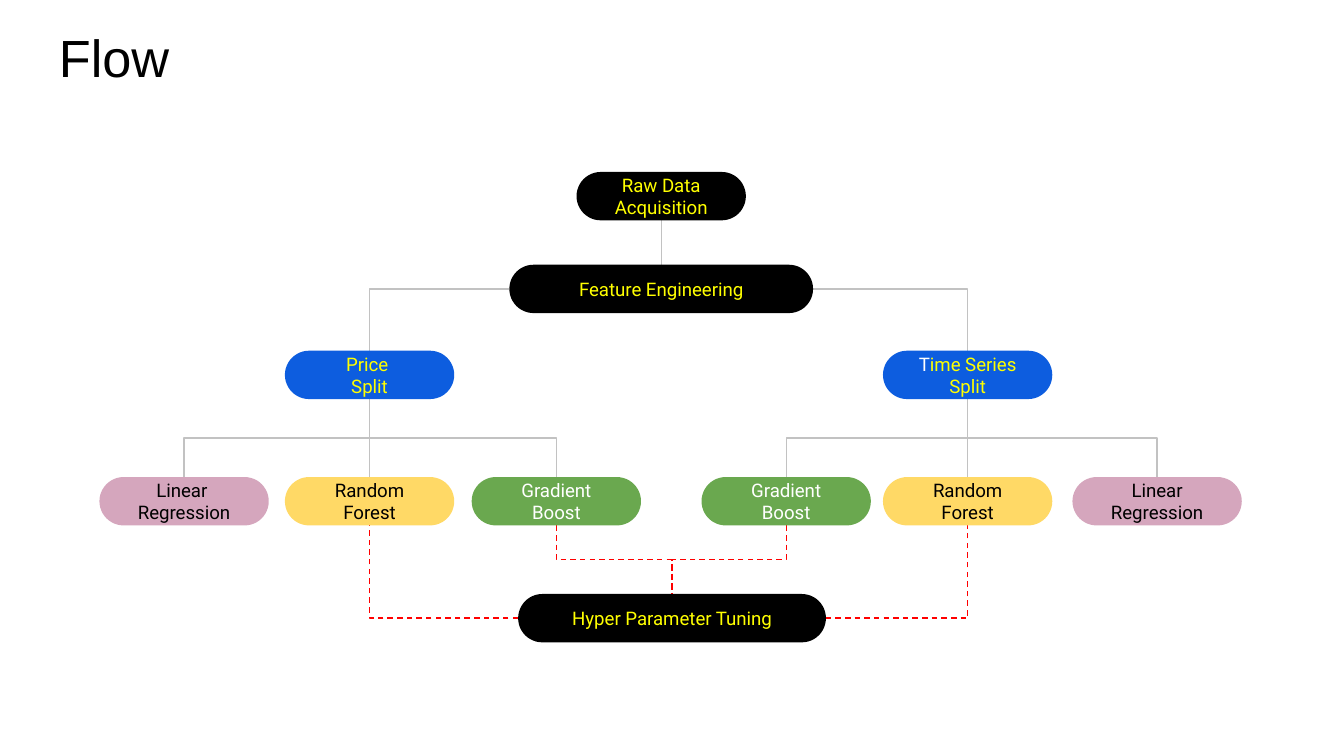
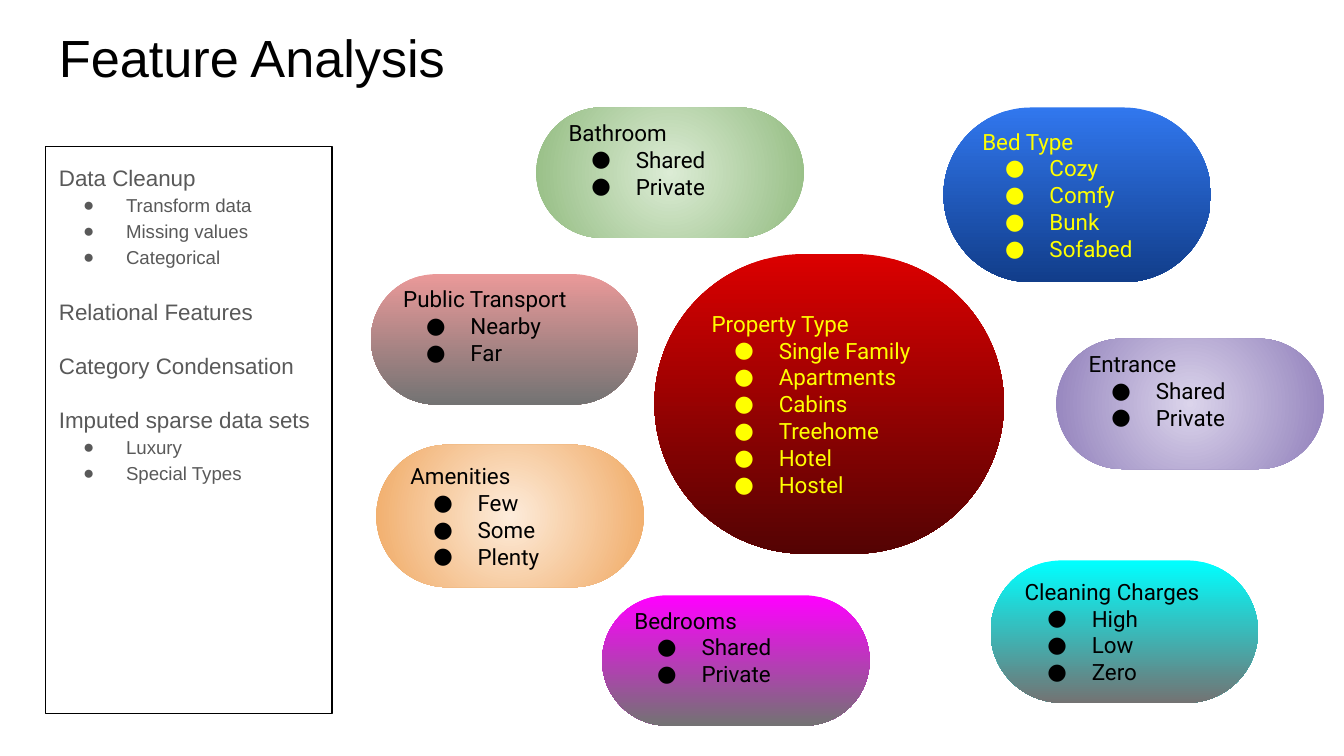
from lxml import etree
from pptx import Presentation
from pptx import util as u
from pptx.dml.color import RGBColor
from pptx.enum import dml, shapes, text
from pptx.oxml.ns import qn

BLACK = RGBColor(0x00, 0x00, 0x00)
WHITE = RGBColor(0xFF, 0xFF, 0xFF)
YELLOW = RGBColor(0xFF, 0xFF, 0x00)
BLUE = RGBColor(0x0D, 0x5D, 0xDF)
MAUVE = RGBColor(0xD5, 0xA6, 0xBD)
GOLD = RGBColor(0xFF, 0xD9, 0x66)
GREEN = RGBColor(0x6A, 0xA8, 0x4F)
GREY = RGBColor(0xC2, 0xC2, 0xC2)
RED = RGBColor(0xFF, 0x00, 0x00)
BODY_GREY = RGBColor(0x59, 0x59, 0x59)
FADE_GREY = RGBColor(0x73, 0x73, 0x73)
HEAD_FONT, NODE_FONT = "Arial", "Roboto"
MARGIN = 0.34

deck = Presentation()
deck.slide_width = u.Inches(10)
deck.slide_height = u.Inches(10 * 9 / 16)


def format_paragraph(paragraph, size, face, color, hanging=0):
    """Set the font; a hanging indent in inches also makes it a bullet."""
    if hanging:
        props = paragraph._p.get_or_add_pPr()
        props.set("marL", str(u.Inches(0.5)))
        props.set("indent", str(-u.Inches(hanging)))
        bullet_color = etree.SubElement(props, qn("a:buClr"))
        etree.SubElement(bullet_color, qn("a:srgbClr")).set("val", str(color))
        etree.SubElement(props, qn("a:buFont")).set("typeface", face)
        etree.SubElement(props, qn("a:buChar")).set("char", "●")
    paragraph.font.size = u.Pt(size)
    paragraph.font.name = face
    paragraph.font.color.rgb = color


def add_titled_slide(title):
    slide = deck.slides.add_slide(deck.slide_layouts[6])
    heading = slide.shapes.add_textbox(
        u.Inches(MARGIN), u.Inches(0.09), u.Inches(10 - 2 * MARGIN), u.Inches(0.63)).text_frame
    heading.word_wrap = True
    heading.margin_top = heading.margin_bottom = u.Inches(0.1)
    heading.text = title
    format_paragraph(heading.paragraphs[0], 28, HEAD_FONT, BLACK)
    return slide


# Flow: centres of the columns, tops of the rows
flow = add_titled_slide("Flow")
MIDDLE, TUNING_X = 4.92, 5.0
PRICE = [1.37, 2.75, 4.14]
TIME = [5.85, 7.2, 8.61]
RAW_Y, FEATURE_Y, SPLIT_Y, MODEL_Y, TUNING_Y = 1.28, 1.97, 2.61, 3.55, 4.42
NODE_W, NODE_H, FEATURE_W, TUNING_W = 1.26, 0.36, 2.26, 2.29
HALF = NODE_H / 2
STRAIGHT, CORNER, STEP = "line", "bentConnector2", "bentConnector3"

links = [(STRAIGHT, MIDDLE, RAW_Y + NODE_H, MIDDLE, FEATURE_Y, GREY)]
for side, models in ((-1, PRICE), (1, TIME)):
    split_x = models[1]
    links += [
        (CORNER, MIDDLE + side * FEATURE_W / 2, FEATURE_Y + HALF, split_x, SPLIT_Y, GREY),
        (CORNER, TUNING_X + side * TUNING_W / 2, TUNING_Y + HALF, split_x, MODEL_Y + NODE_H, RED),
    ]
    for model_x in models:
        route = STRAIGHT if model_x == split_x else STEP
        links.append((route, split_x, SPLIT_Y + NODE_H, model_x, MODEL_Y, GREY))
for boost_x in (PRICE[2], TIME[0]):
    links.append((STEP, boost_x, MODEL_Y + NODE_H, TUNING_X, TUNING_Y, RED))

for route, x1, y1, x2, y2, color in links:
    ends = x1, y1, x2, y2
    if route == STEP:  # laid out sideways, then turned so it leaves downwards
        run, drop = abs(x2 - x1), y2 - y1
        left, top = (x1 + x2 - drop) / 2, (y1 + y2 - run) / 2
        ends = left, top, left + drop, top + run
    link = flow.shapes.add_connector(
        shapes.MSO_CONNECTOR.ELBOW, *(u.Inches(end) for end in ends))
    props = link._element.spPr
    props.find(qn("a:prstGeom")).set("prst", route)
    if route == STEP:
        frame = props.find(qn("a:xfrm"))
        frame.set("rot", str((270 if x2 > x1 else 90) * 60000))
        frame.set("flipH", "1" if x2 > x1 else "0")
    link.line.color.rgb = color
    link.line.width = u.Pt(0.75)
    if color == RED:
        link.line.dash_style = dml.MSO_LINE.DASH
    etree.SubElement(props, qn("a:effectLst"))

FOREST = (["Random", "Forest"], GOLD, BLACK)
BOOST = (["Gradient", "Boost"], GREEN, WHITE)
model_row = [
    (["Linear ", "Regression"], MAUVE, BLACK), FOREST, BOOST,
    BOOST, FOREST, (["Linear", "Regression"], MAUVE, BLACK),
]
nodes = [
    (MIDDLE, RAW_Y, NODE_W, ["Raw Data Acquisition"], BLACK, YELLOW),
    (MIDDLE, FEATURE_Y, FEATURE_W, ["Feature Engineering"], BLACK, YELLOW),
    (PRICE[1], SPLIT_Y, NODE_W, ["Price ", "Split"], BLUE, YELLOW),
    (TIME[1], SPLIT_Y, NODE_W, ["Time Series Split"], BLUE, YELLOW),
    (TUNING_X, TUNING_Y, TUNING_W, ["Hyper Parameter Tuning"], BLACK, YELLOW),
]
for x, model in zip(PRICE + TIME, model_row):
    nodes.append((x, MODEL_Y, NODE_W, *model))

for center, top, width, lines, fill, color in nodes:
    node = flow.shapes.add_shape(
        shapes.MSO_SHAPE.ROUNDED_RECTANGLE, u.Inches(center - width / 2), u.Inches(top),
        u.Inches(width), u.Inches(NODE_H))
    node.adjustments[0] = 0.5
    node.shadow.inherit = False
    node.fill.solid()
    node.fill.fore_color.rgb = fill
    node.line.fill.background()
    label = node.text_frame
    label.word_wrap = True
    label.vertical_anchor = text.MSO_ANCHOR.MIDDLE
    label.margin_top = label.margin_bottom = u.Inches(0.1)
    label.text = "\n".join(lines)
    for paragraph in label.paragraphs:
        paragraph.alignment = text.PP_ALIGN.CENTER
        format_paragraph(paragraph, 10, NODE_FONT, color)
    if lines == ["Time Series Split"]:
        initial = label.paragraphs[0].runs[0]
        initial.text = "T"
        initial.font.color.rgb = WHITE
        label.paragraphs[0].add_run().text = "ime Series Split"


# Feature Analysis
analysis = add_titled_slide("Feature Analysis")
panel = analysis.shapes.add_shape(
    shapes.MSO_SHAPE.RECTANGLE, u.Inches(MARGIN), u.Inches(1.09), u.Inches(2.13), u.Inches(4.22))
panel.shadow.inherit = False
panel.fill.background()
panel.line.color.rgb = BLACK
panel.line.width = u.Pt(0.75)
steps = panel.text_frame
steps.word_wrap = True
steps.vertical_anchor = text.MSO_ANCHOR.TOP
steps.margin_top = steps.margin_bottom = u.Inches(0.1)
outline = [
    ("Data Cleanup", ["Transform data", "Missing values", "Categorical"]),
    ("Relational Features", []),
    ("Category Condensation", []),
    ("Imputed sparse data sets", ["Luxury", "Special Types"]),
]
for number, (topic, details) in enumerate(outline):
    paragraph = steps.add_paragraph() if number else steps.paragraphs[0]
    paragraph.text = topic
    paragraph.alignment = text.PP_ALIGN.LEFT
    if number:
        paragraph.space_before = u.Pt(16 if number == 1 else 14.5)
    else:
        paragraph.line_spacing = 1.15
    format_paragraph(paragraph, 12, HEAD_FONT, BODY_GREY)
    for detail in details:
        paragraph = steps.add_paragraph()
        paragraph.text = detail
        paragraph.alignment = text.PP_ALIGN.LEFT
        paragraph.line_spacing = 1.15
        format_paragraph(paragraph, 10, HEAD_FONT, BODY_GREY, hanging=0.32)

# left, top, width, height, inner or upper colour, outer or lower colour,
# radial, text colour, feature, values
W, LOW, TALL = 1.99, 0.97, 1.06
features = [
    (4.87, 1.89, 2.6, 2.23, RGBColor(0xDB, 0x00, 0x00), RGBColor(0x54, 0x03, 0x03), False, YELLOW,
     "Property Type", ["Single Family", "Apartments", "Cabins", "Treehome", "Hotel", "Hostel"]),
    (7.02, 0.8, W, 1.3, RGBColor(0x31, 0x77, 0xEE), RGBColor(0x11, 0x3D, 0x8A), False, YELLOW,
     "Bed Type", ["Cozy", "Comfy", "Bunk", "Sofabed"]),
    (3.99, 0.8, W, LOW, RGBColor(0xDC, 0xEC, 0xD5), RGBColor(0x93, 0xBC, 0x81), True, BLACK,
     "Bathroom", ["Shared", "Private"]),
    (7.86, 2.52, W, LOW, RGBColor(0xDB, 0xD4, 0xEB), RGBColor(0x91, 0x80, 0xBB), True, BLACK,
     "Entrance", ["Shared", "Private"]),
    (4.48, 4.43, W, LOW, RGBColor(0xFF, 0x00, 0xFF), FADE_GREY, False, BLACK,
     "Bedrooms", ["Shared", "Private"]),
    (7.37, 4.17, W, TALL, RGBColor(0x00, 0xFF, 0xFF), FADE_GREY, False, BLACK,
     "Cleaning Charges", ["High", "Low", "Zero"]),
    (2.76, 2.04, W, LOW, RGBColor(0xEA, 0x99, 0x99), FADE_GREY, False, BLACK,
     "Public Transport", ["Nearby", "Far"]),
    (2.8, 3.31, W, TALL, RGBColor(0xFD, 0xEC, 0xDB), RGBColor(0xF0, 0xA9, 0x63), True, BLACK,
     "Amenities", ["Few", "Some", "Plenty"]),
]
for left, top, width, height, first, last, radial, color, feature, values in features:
    bubble = analysis.shapes.add_shape(
        shapes.MSO_SHAPE.ROUNDED_RECTANGLE,
        *(u.Inches(length) for length in (left, top, width, height)))
    bubble.adjustments[0] = 0.5
    bubble.shadow.inherit = False
    bubble.line.fill.background()
    bubble.fill.gradient()
    bubble.fill.gradient_angle = 270
    for stop, shade in zip(bubble.fill.gradient_stops, (first, last)):
        stop.color.rgb = shade
    if radial:
        gradient = bubble._element.spPr.find(qn("a:gradFill"))
        gradient.remove(gradient.find(qn("a:lin")))
        circle = etree.SubElement(gradient, qn("a:path"))
        circle.set("path", "circle")
        focus = etree.SubElement(circle, qn("a:fillToRect"))
        for edge in "ltrb":
            focus.set(edge, "50000")
    content = bubble.text_frame
    content.word_wrap = True
    content.vertical_anchor = text.MSO_ANCHOR.MIDDLE
    content.margin_top = u.Inches(0.1)
    content.margin_bottom = u.Inches(0.3 if height == LOW else 0.1)
    content.text = "\n".join([feature] + values)
    for number, paragraph in enumerate(content.paragraphs):
        paragraph.alignment = text.PP_ALIGN.LEFT
        format_paragraph(paragraph, 12, NODE_FONT, color, hanging=0.33 if number else 0)

deck.save("out.pptx")
